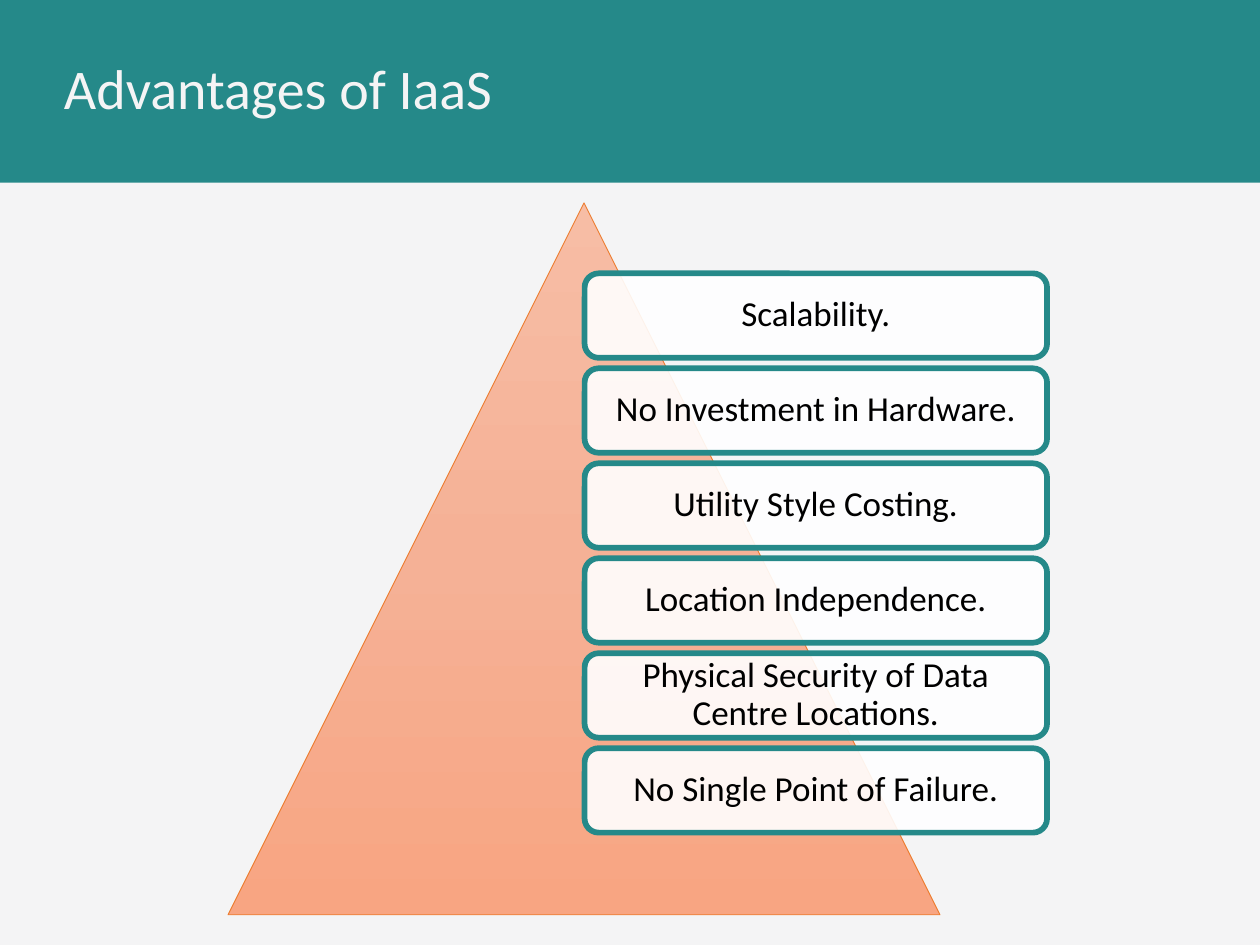
import copy

import pptx
import pptx.dml.color
import pptx.enum.shapes
import pptx.enum.text
import pptx.oxml
import pptx.oxml.ns
import pptx.util

Inches = pptx.util.Inches
Pt = pptx.util.Pt
SHAPES = pptx.enum.shapes.MSO_SHAPE
ALIGN = pptx.enum.text.PP_ALIGN

WIDTH, HEIGHT = 10, 7.5
BAND_HEIGHT = 1.45
TEAL, PALE = "258989", "F4F4F5"
FONT = "Calibri"

ADVANTAGES = [
    "Scalability.",
    "No Investment in Hardware.",
    "Utility Style Costing.",
    "Location Independence.",
    "Physical Security of Data Centre Locations.",
    "No Single Point of Failure.",
]
CARD_LEFT, CARD_TOP = 4.64, 2.17
CARD_WIDTH, CARD_HEIGHT = 3.67, 0.67
CARD_PITCH = CARD_HEIGHT * 1.125  # gap is an eighth of a card


def colour(value):
    return pptx.dml.color.RGBColor.from_string(value)


def add_shape(page, kind, left, top, width, height, fill=None, line=None, weight=0):
    shape = page.shapes.add_shape(
        kind, Inches(left), Inches(top), Inches(width), Inches(height))
    shape.shadow.inherit = False
    if fill:
        shape.fill.solid()
        shape.fill.fore_color.rgb = colour(fill)
    if line:
        shape.line.color.rgb = colour(line)
        shape.line.width = Pt(weight)
    else:
        shape.line.fill.background()
    return shape


def set_text(box, text, size, ink, align, inset):
    frame = box.text_frame
    frame.text = text
    frame.word_wrap = True
    frame.vertical_anchor = pptx.enum.text.MSO_ANCHOR.MIDDLE
    frame.margin_left = frame.margin_right = Inches(inset)
    frame.margin_top = frame.margin_bottom = Inches(min(inset, 0.08))
    para = frame.paragraphs[0]
    para.alignment = align
    para.line_spacing = 0.9
    font = para.runs[0].font
    font.name, font.size = FONT, Pt(size)
    font.color.rgb = colour(ink)


def set_gradient(shape, colours):
    """Fill from top to bottom with evenly spaced colours."""
    shape.fill.gradient()
    shape.fill.gradient_angle = 270
    stops = shape._element.spPr.find(".//" + pptx.oxml.ns.qn("a:gsLst"))
    while len(stops) < len(colours):
        stops.append(copy.deepcopy(stops[-1]))
    for index, (stop, value) in enumerate(zip(shape.fill.gradient_stops, colours)):
        stop.position = index / (len(colours) - 1)
        stop.color.rgb = colour(value)


def set_opacity(shape, percent):
    tint = shape._element.spPr.find(
        pptx.oxml.ns.qn("a:solidFill")).find(pptx.oxml.ns.qn("a:srgbClr"))
    alpha = pptx.oxml.parse_xml(
        f'<a:alpha {pptx.oxml.ns.nsdecls("a")} val="{percent * 1000}"/>')
    tint.append(alpha)


def add_header(page, title):
    add_shape(page, SHAPES.RECTANGLE, 0, 0, WIDTH, BAND_HEIGHT, TEAL)
    box = page.shapes.add_textbox(
        Inches(0.41), 0, Inches(9.37), Inches(BAND_HEIGHT))
    set_text(box, title, 32, PALE, ALIGN.LEFT, 0.1)


def add_pyramid(page):
    side = 5.65
    pyramid = add_shape(page, SHAPES.ISOSCELES_TRIANGLE, 1.81, 1.61, side, side,
                        line="ED7D31", weight=0.5)
    set_gradient(pyramid, ["F7BDA5", "F5B196", "F8A582"])


def add_card(page, row, text):
    card = add_shape(page, SHAPES.ROUNDED_RECTANGLE,
                     CARD_LEFT, CARD_TOP + row * CARD_PITCH,
                     CARD_WIDTH, CARD_HEIGHT, "FFFFFF", TEAL, 3.25)
    set_opacity(card, 90)
    set_text(card, text, 20, "000000", ALIGN.CENTER, 0.08)


def main():
    deck = pptx.Presentation()
    deck.slide_width, deck.slide_height = Inches(WIDTH), Inches(HEIGHT)
    page = deck.slides.add_slide(deck.slide_layouts[6])
    page.background.fill.solid()
    page.background.fill.fore_color.rgb = colour(PALE)

    # Title band
    add_header(page, "Advantages of IaaS")

    # Pyramid with the list of advantages over it
    add_pyramid(page)
    for row, text in enumerate(ADVANTAGES):
        add_card(page, row, text)

    deck.save("out.pptx")


if __name__ == "__main__":
    main()
